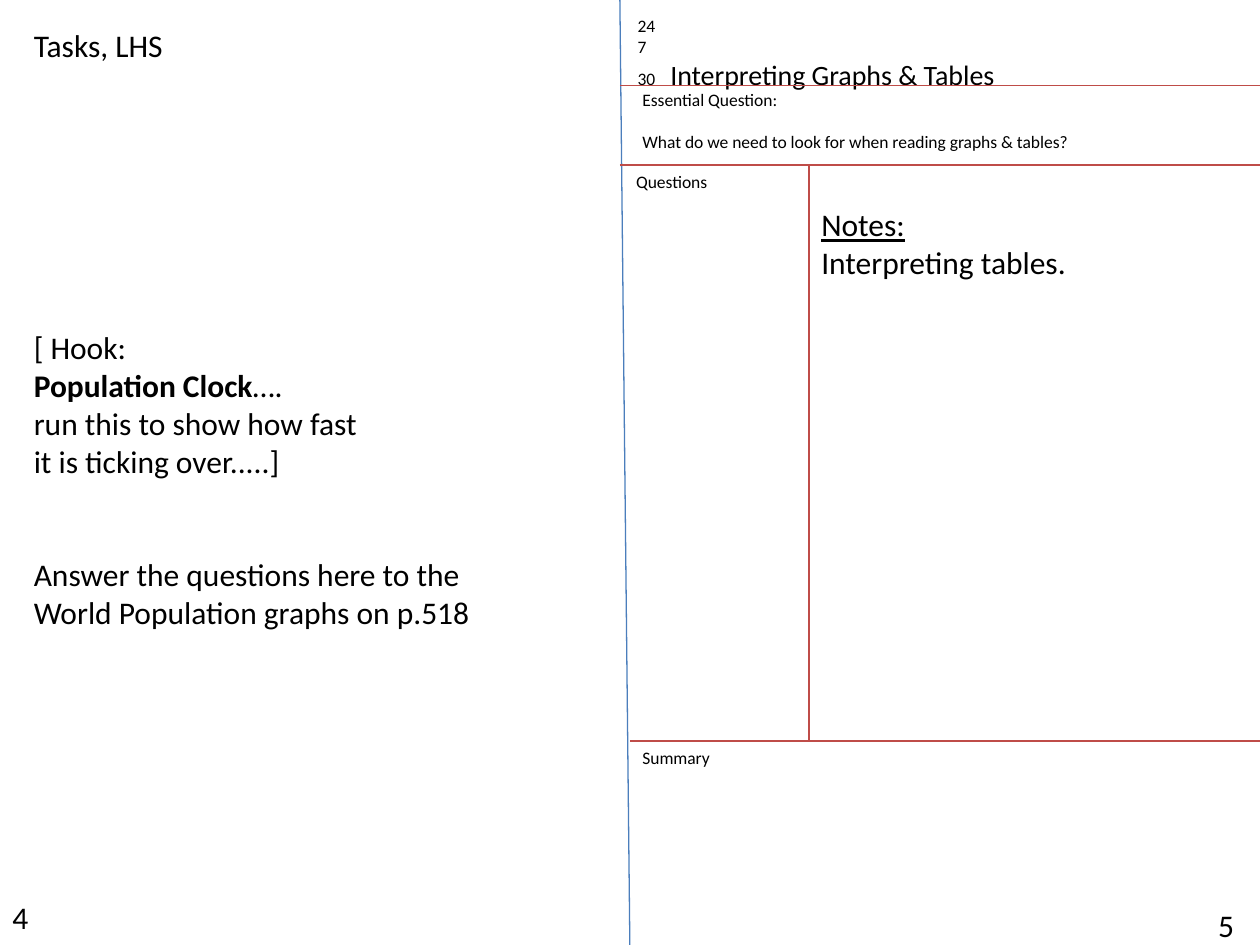
"""Build a two-page notebook slide on interpreting graphs and tables."""
import dataclasses

import lxml.etree
import pptx
import pptx.dml.color
import pptx.enum.shapes
import pptx.enum.text
import pptx.oxml.ns
import pptx.util

Inches = pptx.util.Inches
Pt = pptx.util.Pt


@dataclasses.dataclass(frozen=True)
class Theme:
    """Colours, font and type sizes of the slide."""

    font: str = "Calibri"
    ink: str = "000000"
    spine: str = "4B7EBC"
    rule: str = "BF4C48"
    rule_width: float = 0.75
    label: float = 10
    heading: float = 16
    body: float = 18


THEME = Theme()


def apply(target, values):
    """Set each attribute in values on target."""
    for name, value in values.items():
        setattr(target, name, value)


def add_line(slide, start, end, color):
    """Draw a straight thin line between two points in inches."""
    line = slide.shapes.add_connector(
        pptx.enum.shapes.MSO_CONNECTOR.STRAIGHT, *map(Inches, start + end))
    line.line.color.rgb = pptx.dml.color.RGBColor.from_string(color)
    line.line.width = Pt(THEME.rule_width)
    lxml.etree.SubElement(line._element.spPr, pptx.oxml.ns.qn("a:effectLst"))


def add_tab(paragraph, position):
    """Add a left tab stop at a position in inches."""
    properties = paragraph._p.get_or_add_pPr()
    stops = lxml.etree.SubElement(properties, pptx.oxml.ns.qn("a:tabLst"))
    lxml.etree.SubElement(stops, pptx.oxml.ns.qn("a:tab"),
                          pos=str(Inches(position)), algn="l")


def add_run(paragraph, text, size, **font):
    """Append a run of text with its font values."""
    run = paragraph.add_run()
    run.text = text
    apply(run.font, {"name": THEME.font, "size": Pt(size), **font})
    run.font.color.rgb = pptx.dml.color.RGBColor.from_string(THEME.ink)


def fill_text(shape, paragraphs, size, wrap=True):
    """Write (space before, runs) paragraphs, each run a text and font values."""
    frame = shape.text_frame
    apply(frame, {
        "word_wrap": wrap,
        "auto_size": pptx.enum.text.MSO_AUTO_SIZE.SHAPE_TO_FIT_TEXT,
        "vertical_anchor": pptx.enum.text.MSO_ANCHOR.TOP,
    })
    for index, (gap, runs) in enumerate(paragraphs):
        paragraph = frame.add_paragraph() if index else frame.paragraphs[0]
        paragraph.alignment = pptx.enum.text.PP_ALIGN.LEFT
        if gap:
            paragraph.space_before = Pt(gap)
        for text, font in runs:
            add_run(paragraph, text, **{"size": size, **font})


def add_text(slide, box, paragraphs, size, wrap=True):
    """Add a text box at left, top, width, height in inches."""
    fill_text(slide.shapes.add_textbox(*map(Inches, box)), paragraphs, size, wrap)


def plain(text, gap=0):
    """Return a paragraph with one unformatted run."""
    return gap, [(text, {})]


def set_title(slide, box):
    """Place the date and topic heading in the title placeholder."""
    title = slide.shapes.title
    apply(title, dict(zip(("left", "top", "width", "height"), map(Inches, box))))
    topic = [("30\t", {}), ("Interpreting Graphs & Tables", {"size": THEME.heading})]
    fill_text(title, [plain("24"), plain("7"), (0, topic)], THEME.label)
    add_tab(title.text_frame.paragraphs[-1], 0.26)


def add_rules(slide):
    """Draw the spine and the lines that divide the notes page."""
    add_line(slide, (4.92, 0), (5, 7.61), THEME.spine)
    for start, end in (
        ((4.92, 0.68), (10, 0.68)),
        ((4.92, 1.31), (10, 1.31)),
        ((5, 5.88), (10.17, 5.88)),
        ((6.42, 1.31), (6.42, 5.88)),
    ):
        add_line(slide, start, end, THEME.rule)


def add_tasks(slide):
    """Write the tasks on the left page."""
    add_text(slide, (0.17, 0.16, 3.73, 4.95), [
        plain("Tasks, LHS"),
        plain("[ Hook:", 151),
        (0, [("Population Clock", {"bold": True}), ("….", {})]),
        plain("run this to show how fast"),
        plain("it is ticking over.....]"),
        plain("Answer the questions here to the World Population graphs on p.518", 43),
    ], THEME.body)


def add_notes(slide):
    """Write the question, labels and notes on the right page."""
    add_text(slide, (5, 0.66, 4.59, 0.61), [
        plain("Essential Question:"),
        plain("What do we need to look for when reading graphs & tables?", 12),
    ], THEME.label)
    add_text(slide, (4.95, 1.31, 0.78, 0.27), [plain("Questions")], THEME.label, False)
    add_text(slide, (5, 5.88, 0.74, 0.27), [plain("Summary")], THEME.label, False)
    add_text(slide, (6.42, 1.58, 3.73, 0.71), [
        (0, [("Notes:", {"underline": True})]),
        plain("Interpreting tables."),
    ], THEME.body)


def main():
    """Build and save the slide."""
    deck = pptx.Presentation()
    apply(deck, {"slide_width": Inches(10), "slide_height": Inches(7.5)})
    slide = deck.slides.add_slide(deck.slide_layouts.get_by_name("Title Only"))
    set_title(slide, (4.96, 0.07, 3.98, 0.71))
    add_rules(slide)
    add_tasks(slide)
    add_notes(slide)
    add_text(slide, (0, 7.08, 0.33, 0.4), [plain("4")], THEME.body, False)
    add_text(slide, (9.57, 7.14, 0.6, 0.4), [plain("5")], THEME.body)
    deck.save("out.pptx")


if __name__ == "__main__":
    main()
